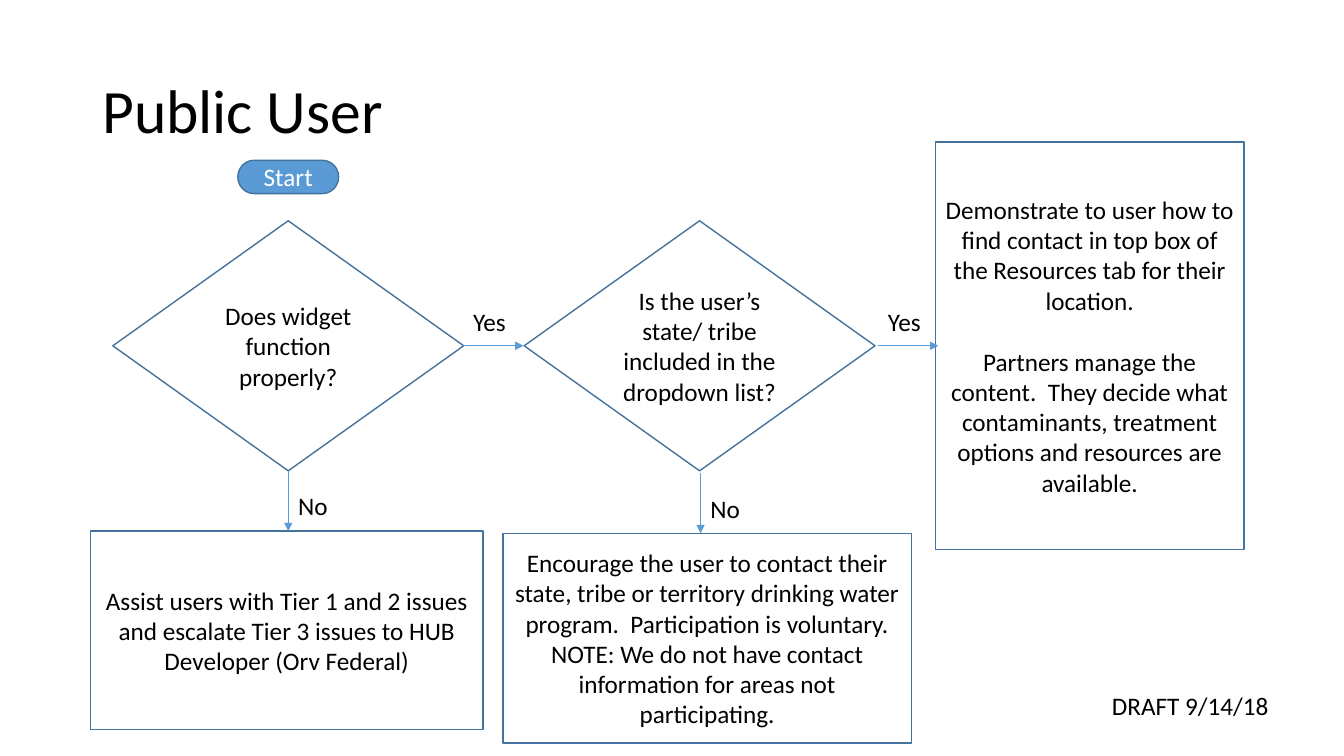
import pptx
import pptx.dml.color
import pptx.enum.shapes
import pptx.enum.text
import pptx.oxml
import pptx.oxml.ns
import pptx.util

Pt = pptx.util.Pt
RGBColor = pptx.dml.color.RGBColor
MSO_SHAPE = pptx.enum.shapes.MSO_SHAPE
PP_ALIGN = pptx.enum.text.PP_ALIGN
MSO_ANCHOR = pptx.enum.text.MSO_ANCHOR

BLUE = RGBColor(0x5B, 0x9B, 0xD5)
OUTLINE = RGBColor(0x43, 0x73, 0x9E)
BLACK = RGBColor(0, 0, 0)
WHITE = RGBColor(255, 255, 255)

FONT = "Calibri"
ARROW_LENGTH = 43.2
DECISION_SIZE = (250.6, 178.6)
DECISION_TOP = 157.7


def write(tf, paragraphs, size=18, color=BLACK, align=PP_ALIGN.LEFT,
          anchor=MSO_ANCHOR.TOP, gap=0):
    """Fill a text frame, with a gap before each paragraph after the first."""
    tf.word_wrap = True
    tf.vertical_anchor = anchor
    for i, text in enumerate(paragraphs):
        p = tf.add_paragraph() if i else tf.paragraphs[0]
        p.text = text
        p.alignment = align
        p.space_before = Pt(gap if i else 0)
        p.font.name = FONT
        p.font.size = Pt(size)
        p.font.color.rgb = color


def add_text(s, box, text, **style):
    """Add a text box and return its text frame."""
    tf = s.shapes.add_textbox(*map(Pt, box)).text_frame
    write(tf, [text], **style)
    return tf


def add_node(s, kind, box, *paragraphs, fill=None, color=BLACK, gap=0):
    """Add an outlined flowchart shape with centred text."""
    sp = s.shapes.add_shape(kind, *map(Pt, box))
    sp.shadow.inherit = False
    if fill is None:
        sp.fill.background()
    else:
        sp.fill.solid()
        sp.fill.fore_color.rgb = fill
    sp.line.color.rgb = OUTLINE
    sp.line.width = Pt(1)
    write(sp.text_frame, paragraphs, color=color, align=PP_ALIGN.CENTER,
          anchor=MSO_ANCHOR.MIDDLE, gap=gap)


def add_arrow(s, x, y, dx, dy):
    """Add a thin arrow from a point along an offset."""
    c = s.shapes.add_connector(pptx.enum.shapes.MSO_CONNECTOR.STRAIGHT,
                               Pt(x), Pt(y), Pt(x + dx), Pt(y + dy))
    c.line.color.rgb = BLUE
    c.line.width = Pt(0.5)
    ln = c.line._get_or_add_ln()
    pptx.oxml.ns.qn("a:tailEnd")
    tail = ln.makeelement(pptx.oxml.ns.qn("a:tailEnd"), {"type": "triangle"})
    ln.append(tail)
    sp_pr = c._element.spPr
    sp_pr.append(sp_pr.makeelement(pptx.oxml.ns.qn("a:effectLst"), {}))


def add_yes(s, x, y):
    """Add a rightward arrow labelled Yes above it."""
    add_arrow(s, x, y, ARROW_LENGTH, 0)
    add_text(s, (x, y - 31.7, ARROW_LENGTH, 29), "Yes")


def add_no(s, x, y):
    """Add a downward arrow labelled No beside it."""
    add_arrow(s, x, y, 0, ARROW_LENGTH)
    add_text(s, (x, y + 10.8, 36.7, 29), "No")


def main():
    """Build the public user support flowchart."""
    prs = pptx.Presentation()
    prs.slide_width, prs.slide_height = Pt(960), Pt(540)
    s = prs.slides.add_slide(prs.slide_layouts[6])

    title = add_text(s, (66, 28.8, 828, 104.4), "Public User", size=44,
                     anchor=MSO_ANCHOR.MIDDLE)
    title.paragraphs[0].line_spacing = 0.9

    add_node(s, MSO_SHAPE.FLOWCHART_TERMINATOR, (169.9, 114.5, 72, 23.8),
             "Start", fill=BLUE, color=WHITE)

    decisions = [
        (80.6, "Does widget function properly?"),
        (374.4, "Is the user\u2019s state/ tribe included in the dropdown list?"),
    ]
    for left, question in decisions:
        add_node(s, MSO_SHAPE.FLOWCHART_DECISION,
                 (left, DECISION_TOP, *DECISION_SIZE), question)

    actions = [
        ((64.8, 379.4, 280.1, 141.8),
         ["Assist users with Tier 1 and 2 issues and escalate Tier 3 issues "
          "to HUB Developer (Orv Federal)"]),
        ((359.3, 380.9, 291.6, 149.8),
         ["Encourage the user to contact their state, tribe or territory "
          "drinking water program.  Participation is voluntary.",
          "NOTE: We do not have contact information for areas not "
          "participating."]),
    ]
    for box, paragraphs in actions:
        add_node(s, MSO_SHAPE.FLOWCHART_PROCESS, box, *paragraphs)
    add_node(s, MSO_SHAPE.FLOWCHART_PROCESS, (668.2, 101.5, 220.3, 290.9),
             "Demonstrate to user how to find contact in top box of the "
             "Resources tab for their location.",
             "Partners manage the content.  They decide what contaminants, "
             "treatment options and resources are available.", gap=22)

    for x in (330.8, 627.1):
        add_yes(s, x, DECISION_TOP + DECISION_SIZE[1] / 2)
    for x, y in ((205.9, 336.2), (500.4, 337.7)):
        add_no(s, x, y)

    add_text(s, (787.2, 489.6, 165.6, 29), "DRAFT 9/14/18")
    prs.save("out.pptx")


main()
